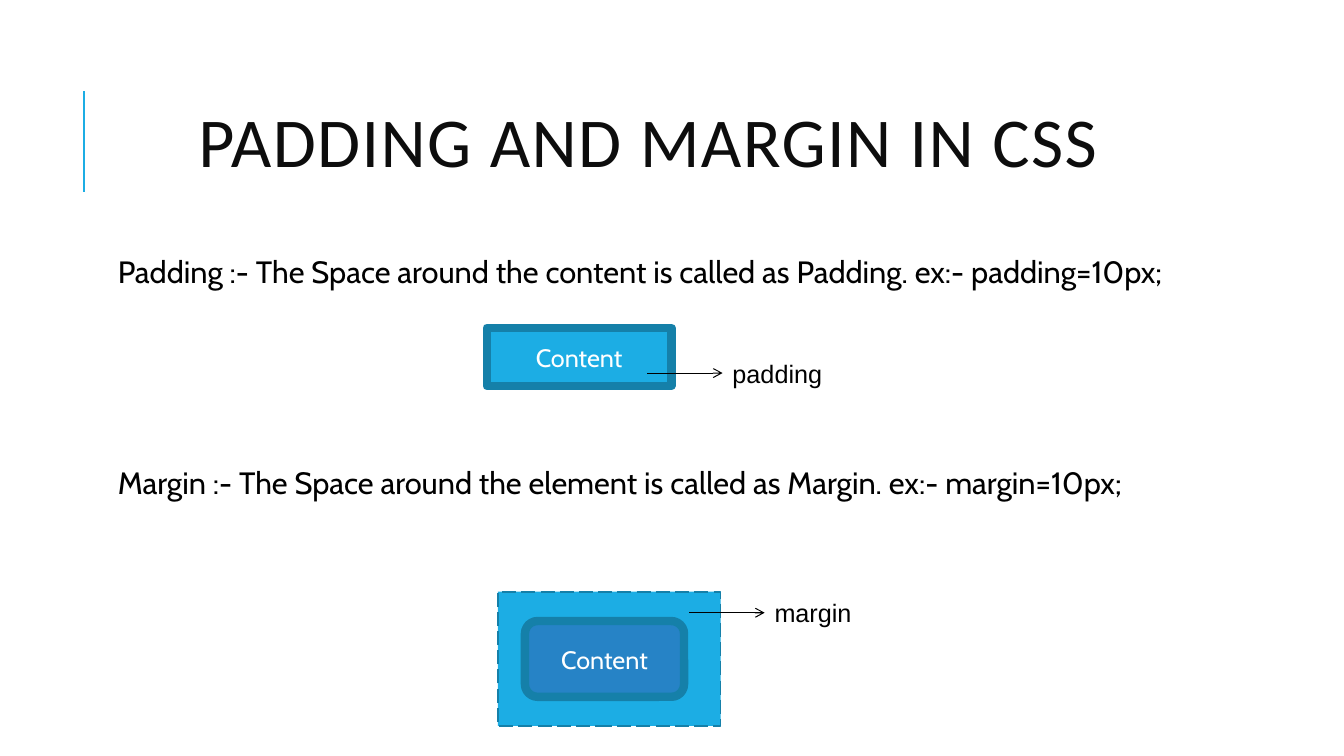
"""Builds a slide that explains padding and margin in CSS."""
from dataclasses import dataclass
from typing import Optional

from lxml import etree
from pptx import Presentation
from pptx import util as u
from pptx.dml.color import RGBColor
from pptx.enum import dml, shapes, text
from pptx.oxml.ns import qn


@dataclass(frozen=True)
class Theme:
    """Colours, fonts and type sizes of the slide."""
    accent: str = "1CADE4"
    edge: str = "1580A9"
    inner: str = "2683C6"
    title: str = "0D0D0D"
    ink: str = "000000"
    paper: str = "FFFFFF"
    title_font: str = "Calibri"
    body_font: str = "Cabin"
    label_font: str = "Arial"
    title_size: float = 50
    body_size: float = 22
    label_size: float = 18


@dataclass(frozen=True)
class Style:
    """Look of one text."""
    font: str
    size: float
    color: str
    align: text.PP_ALIGN = text.PP_ALIGN.LEFT
    spacing: float = 1.0


@dataclass(frozen=True)
class Label:
    """Text box, in centimetres."""
    words: str
    left: float
    top: float
    width: float
    height: float
    style: Style
    inset: float = 0.25
    wrap: bool = True
    anchor: text.MSO_ANCHOR = text.MSO_ANCHOR.TOP
    tracking: int = 0


@dataclass(frozen=True)
class Box:
    """Filled and outlined shape, in centimetres."""
    kind: shapes.MSO_SHAPE
    left: float
    top: float
    width: float
    height: float
    fill: str
    line: float
    words: str = ""
    dash: Optional[dml.MSO_LINE] = None


@dataclass(frozen=True)
class Callout:
    """Arrow that ends at a word, in centimetres."""
    words: str
    left: float
    y: float
    width: float


T = Theme()
TITLE = Style(T.title_font, T.title_size, T.title, text.PP_ALIGN.CENTER, 0.8)
BODY = Style(T.body_font, T.body_size, T.ink, spacing=0.9)
CONTENT = Style(T.body_font, T.label_size, T.paper, text.PP_ALIGN.CENTER)
NOTE = Style(T.label_font, T.label_size, T.ink)
ARROW_LENGTH = 1.9
COLUMN_LEFT, COLUMN_WIDTH = 2.84, 27.0

LABELS = [
    Label("PADDING AND MARGIN IN CSS", COLUMN_LEFT, 1.63, COLUMN_WIDTH, 4.17, TITLE,
          anchor=text.MSO_ANCHOR.MIDDLE, tracking=100),
    Label("Padding :- The Space around the content is called as Padding. ex:- padding=10px;",
          COLUMN_LEFT, 6.35, COLUMN_WIDTH, 1.2, BODY, inset=0.13),
    Label("Margin :- The Space around the element is called as Margin. ex:- margin=10px;",
          COLUMN_LEFT, 11.67, COLUMN_WIDTH, 1.2, BODY, inset=0.13),
]
BOXES = [
    Box(shapes.MSO_SHAPE.RECTANGLE, 12.27, 8.26, 4.65, 1.47, T.accent, 6, "Content"),
    Box(shapes.MSO_SHAPE.RECTANGLE, 12.55, 14.91, 5.61, 3.38, T.accent, 1.25,
        dash=dml.MSO_LINE.LONG_DASH),
    Box(shapes.MSO_SHAPE.ROUNDED_RECTANGLE, 13.23, 15.65, 4.01, 1.91, T.inner, 6, "Content"),
]
CALLOUTS = [Callout("padding", 16.31, 9.4, 2.79), Callout("margin", 17.37, 15.44, 2.46)]


def write(tf, words: str, style: Style, tracking: int = 0) -> None:
    """Put one styled paragraph into a text frame."""
    p = tf.paragraphs[0]
    p.alignment, p.line_spacing = style.align, style.spacing
    r = p.add_run()
    r.text = words
    if tracking:
        r._r.get_or_add_rPr().set("spc", str(tracking))
    p.font.name, p.font.size = style.font, u.Pt(style.size)
    p.font.color.rgb = RGBColor.from_string(style.color)


def add_label(s, label: Label) -> None:
    """Draw a text box."""
    sp = s.shapes.add_textbox(u.Cm(label.left), u.Cm(label.top),
                              u.Cm(label.width), u.Cm(label.height))
    tf = sp.text_frame
    tf.word_wrap, tf.vertical_anchor = label.wrap, label.anchor
    tf.margin_left = tf.margin_right = u.Cm(label.inset)
    tf.margin_top = tf.margin_bottom = u.Cm(0.13)
    write(tf, label.words, label.style, label.tracking)


def add_box(s, box: Box) -> None:
    """Draw a shape with its optional centred word."""
    sp = s.shapes.add_shape(box.kind, u.Cm(box.left), u.Cm(box.top),
                            u.Cm(box.width), u.Cm(box.height))
    sp.shadow.inherit = False
    sp.fill.solid()
    sp.fill.fore_color.rgb = RGBColor.from_string(box.fill)
    sp.line.color.rgb = RGBColor.from_string(T.edge)
    sp.line.width = u.Pt(box.line)
    if box.dash:
        sp.line.dash_style = box.dash
    if box.words:
        sp.text_frame.vertical_anchor = text.MSO_ANCHOR.MIDDLE
        write(sp.text_frame, box.words, CONTENT)


def add_line(s, x1: float, y1: float, x2: float, y2: float,
             color: str, width: float, arrow: bool = False) -> None:
    """Draw a straight line, with an open arrowhead on request."""
    line = s.shapes.add_connector(shapes.MSO_CONNECTOR.STRAIGHT,
                                  u.Cm(x1), u.Cm(y1), u.Cm(x2), u.Cm(y2))
    line.line.color.rgb = RGBColor.from_string(color)
    line.line.width = u.Pt(width)
    if arrow:
        etree.SubElement(line.line._get_or_add_ln(), qn("a:tailEnd"), type="arrow")
    etree.SubElement(line._element.spPr, qn("a:effectLst"))


def add_callout(s, callout: Callout) -> None:
    """Draw an arrow and the word it points to."""
    end = callout.left + ARROW_LENGTH
    add_line(s, callout.left, callout.y, end, callout.y, T.ink, 0.75, arrow=True)
    add_label(s, Label(callout.words, end, callout.y - 0.51, callout.width, 1.02, NOTE,
                       wrap=False))


def main() -> None:
    """Build and save the slide."""
    prs = Presentation()
    prs.slide_width, prs.slide_height = u.Cm(33.87), u.Cm(19.05)
    s = prs.slides.add_slide(prs.slide_layouts[6])
    add_line(s, 2.12, 4.83, 2.12, 2.29, T.accent, 1.5)
    for label in LABELS:
        add_label(s, label)
    for box in BOXES:
        add_box(s, box)
    for callout in CALLOUTS:
        add_callout(s, callout)
    prs.save("out.pptx")


if __name__ == "__main__":
    main()
